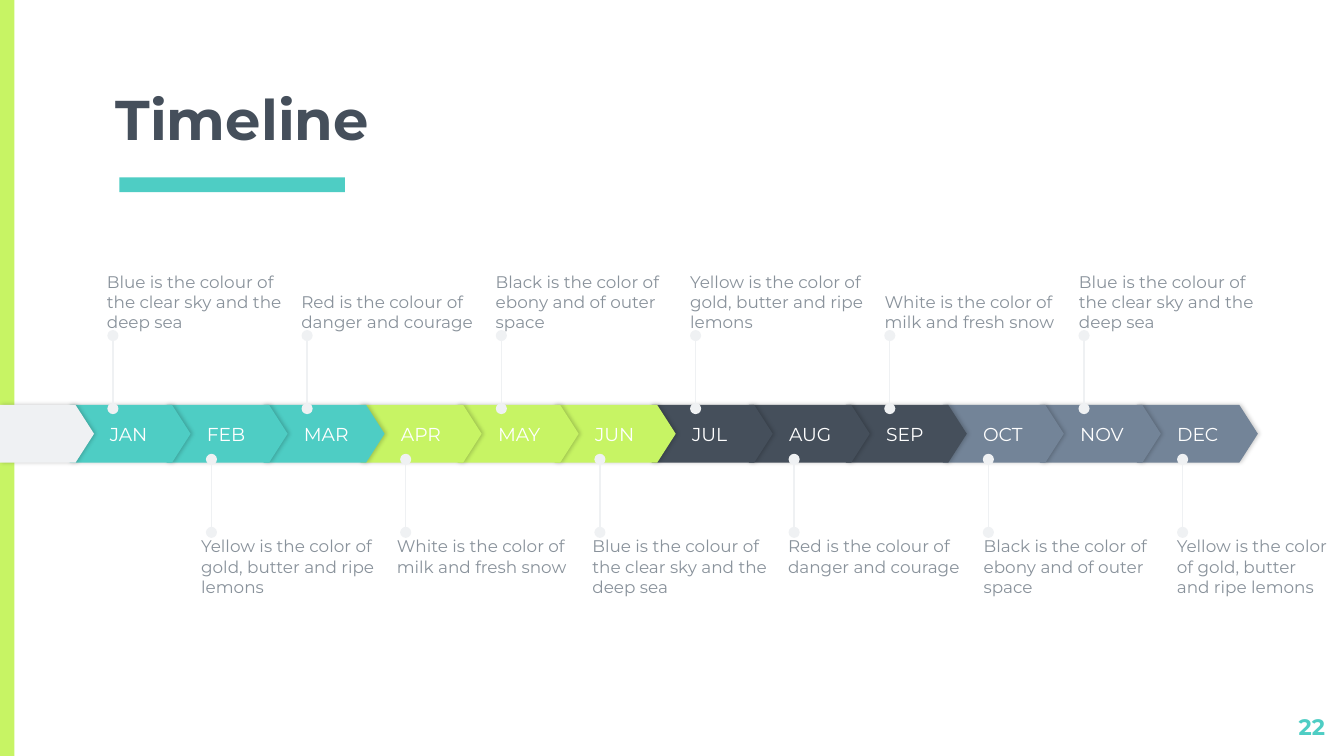
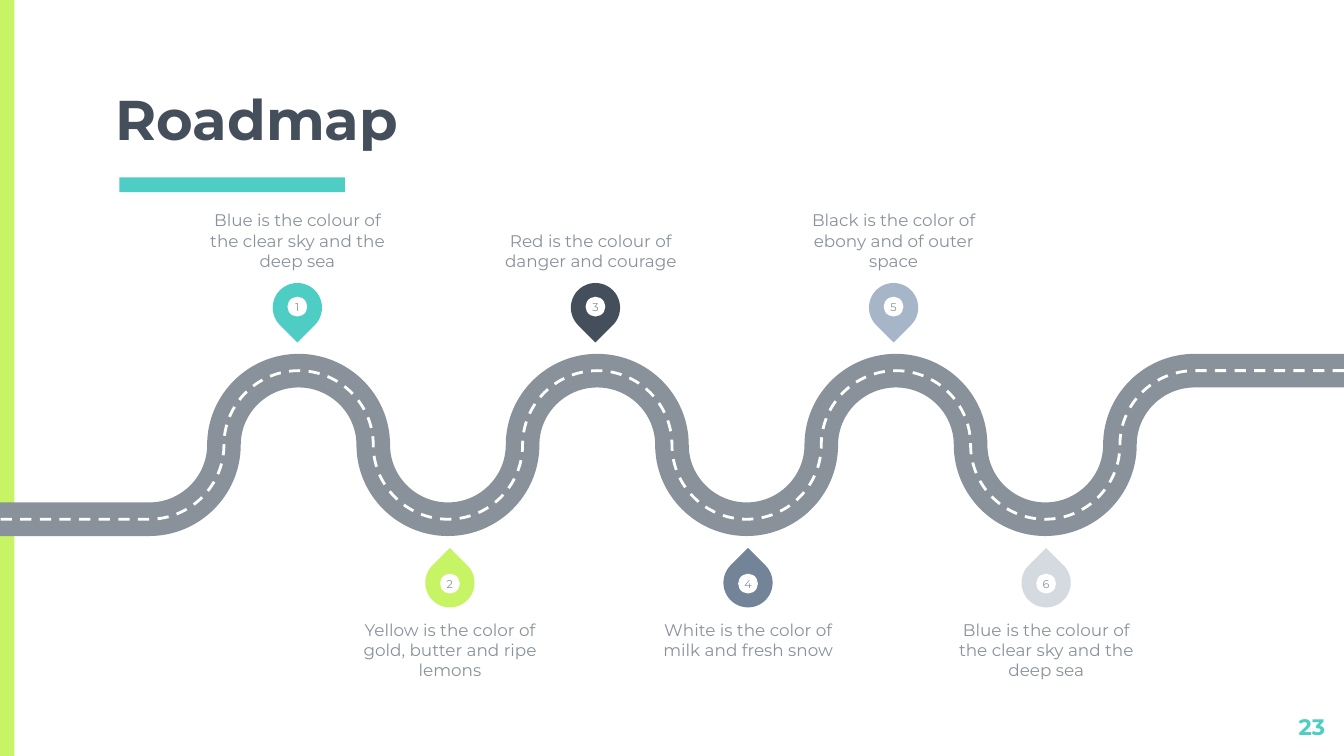
from dataclasses import dataclass

from pptx import Presentation
from pptx.dml.color import RGBColor
from pptx.enum.dml import MSO_LINE
from pptx.enum.shapes import MSO_CONNECTOR, MSO_SHAPE
from pptx.enum.text import MSO_ANCHOR, MSO_AUTO_SIZE, PP_ALIGN
from pptx.oxml.ns import qn
from pptx.util import Pt
from lxml import etree

RECT, PLATE = MSO_SHAPE.RECTANGLE, MSO_SHAPE.PENTAGON
DROP, OVAL = MSO_SHAPE.TEAR, MSO_SHAPE.OVAL
TOP, MID, LOW = MSO_ANCHOR.TOP, MSO_ANCHOR.MIDDLE, MSO_ANCHOR.BOTTOM
LEFT, MIDST, RIGHT = PP_ALIGN.LEFT, PP_ALIGN.CENTER, PP_ALIGN.RIGHT
LINE, DASH = MSO_CONNECTOR.STRAIGHT, MSO_LINE.DASH
FIXED = MSO_AUTO_SIZE.NONE


@dataclass(frozen=True)
class Theme:
    font: str = "Montserrat"
    lime: str = "C7F464"
    teal: str = "4ECDC4"
    dark: str = "454F5B"
    slate: str = "738498"
    mist: str = "A6B5C7"
    pale: str = "D4DAE0"
    frost: str = "EFF1F3"
    gray: str = "89929B"
    white: str = "FFFFFF"
    title: int = 30
    page: int = 12
    month: int = 10
    note: int = 9
    digit: int = 6


T = Theme()

BLUE = "Blue is the colour of the clear sky and the deep sea"
RED = "Red is the colour of danger and courage"
BLACK = "Black is the color of ebony and of outer space"
GOLD = "Yellow is the color of gold, butter and ripe lemons"
SNOW = "White is the color of milk and fresh snow"

BARS = [((0, 0, 7.8, 405), T.lime), ((64, 95, 120.8, 8), T.teal)]
MONTHS = ["JAN", "FEB", "MAR", "APR", "MAY", "JUN",
          "JUL", "AUG", "SEP", "OCT", "NOV", "DEC"]
TERMS = [T.teal, T.lime, T.dark, T.slate]
ABOVE = [BLUE, RED, BLACK, GOLD, SNOW, BLUE]
BELOW = [GOLD, SNOW, BLUE, RED, BLACK, GOLD]
STOPS = [
    (BLUE, T.teal, 0),
    (GOLD, T.lime, 0),
    (RED, T.dark, -2.6),
    (SNOW, T.slate, 0),
    (BLACK, T.mist, 0),
    (BLUE, T.pale, 0),
]


def write(frame, text, size, tint, align=LEFT, anchor=TOP, pad=(0, 0, 0, 0), bold=False):
    frame.word_wrap = True
    frame.auto_size = FIXED
    frame.vertical_anchor = anchor
    (frame.margin_left, frame.margin_top,
     frame.margin_right, frame.margin_bottom) = map(Pt, pad)
    para = frame.paragraphs[0]
    para.alignment = align
    run = para.add_run()
    run.text = text
    font = run.font
    font.name, font.size, font.bold = T.font, Pt(size), bold
    font.color.rgb = RGBColor.from_string(tint)


def label(slide, box, *args, **more):
    write(slide.shapes.add_textbox(*map(Pt, box)).text_frame, *args, **more)


def block(shapes, kind, box, tint):
    shape = shapes.add_shape(kind, *map(Pt, box))
    shape.shadow.inherit = False
    shape.fill.solid()
    shape.fill.fore_color.rgb = RGBColor.from_string(tint)
    shape.line.fill.background()
    return shape


def stroke(line, tint, width):
    line.color.rgb = RGBColor.from_string(tint)
    line.width = Pt(width)


def plate(slide, left, width, tint):
    shape = block(slide.shapes, PLATE, (left, 216.9, width, 31), tint)
    shape.adjustments[0] = 0.32
    glow = shape.element.spPr.find(qn("a:effectLst"))
    cast = etree.SubElement(glow, qn("a:outerShdw"), blurRad=str(Pt(2.25)),
                            dist=str(Pt(0.75)), dir="0", algn="bl", rotWithShape="0")
    ink = etree.SubElement(cast, qn("a:srgbClr"), val="000000")
    etree.SubElement(ink, qn("a:alpha"), val="20000")
    return shape


def stem(slide, x, start, end):
    link = slide.shapes.add_connector(LINE, Pt(x), Pt(start), Pt(x), Pt(end))
    stroke(link.line, T.frost, 0.75)
    edge = link.line._get_or_add_ln()
    for name in ("a:headEnd", "a:tailEnd"):
        etree.SubElement(edge, qn(name), type="oval", w="med", len="med")
    etree.SubElement(link.element.spPr, qn("a:effectLst"))


def start(deck, title, page):
    slide = deck.slides.add_slide(deck.slide_layouts[5])
    head = slide.shapes.title
    head.left, head.top, head.width, head.height = map(Pt, (54.7, 49.7, 611, 39))
    write(head.text_frame, title, T.title, T.dark, anchor=LOW, pad=(7.2,) * 4, bold=True)
    label(slide, (674, 374.8, 43, 24.5), page, T.page, T.teal,
          align=RIGHT, pad=(7.2,) * 4, bold=True)
    return slide


def brand(deck, slide):
    tree = deck.slide_layouts[5].shapes.element
    for n, (box, tint) in enumerate(BARS):
        bar = block(slide.shapes, RECT, box, tint).element
        bar.nvSpPr.cNvPr.set("id", str(20 + n))
        tree.insert(2 + n, bar)


def months(slide):
    for n, name in reversed(list(enumerate(MONTHS))):
        shape = plate(slide, 37.3 + 51.98 * n, 64.8, TERMS[n // 3])
        write(shape.text_frame, name, T.month, T.white, anchor=MID, pad=(21.6, 0, 0, 0))
    plate(slide, 0, 50.4, T.frost)
    for n, note in enumerate(ABOVE):
        stem(slide, 60.5 + 104.05 * n, 218.9, 179.8)
        label(slide, (57.3 + 104.15 * n, 136, 98.6, 42), note, T.note, T.gray, anchor=LOW)
    for n, note in enumerate(BELOW):
        stem(slide, 113.3 + 104.05 * n, 285.2, 246.1)
        wide = 81.4 if n == len(BELOW) - 1 else 98.6
        left = min(107.8 + 104.8 * n, 630.5)
        label(slide, (left, 287.2, wide, 42), note, T.note, T.gray)


def bend(lane, dots):
    legs = lane.element.findall(".//" + qn("a:lnTo"))
    base = lane.top
    for n, leg in enumerate(legs[1:-1], 1):
        (ax, ay), (bx, by) = dots[n], dots[n + 1]
        dx, dy = 0.55 * (bx - ax), 0.55 * (by - ay)
        if n % 2:
            grips = [(ax + dx, ay), (bx, by - dy)]
        else:
            grips = [(ax, ay + dy), (bx - dx, by)]
        leg.tag = qn("a:cubicBezTo")
        for spot, (x, y) in enumerate(grips):
            grip = etree.Element(qn("a:pt"), x=str(round(x)), y=str(round(y - base)))
            leg.insert(spot, grip)


def road(slide):
    mid, rise = 238.4, 39.8
    levels = [mid - rise, mid, mid + rise, mid]
    dots = [(720, mid - rise)]
    dots += [(640 - 40 * n, levels[n % 4]) for n in range(15)]
    dots.append((0, mid + rise))
    dots = [(Pt(x), Pt(y)) for x, y in dots]
    for tint, width, dash in [(T.gray, 18, None), (T.white, 1.5, DASH)]:
        pen = slide.shapes.build_freeform(*dots[0])
        pen.add_line_segments(dots[1:], close=False)
        lane = pen.convert_to_shape()
        bend(lane, dots)
        lane.shadow.inherit = False
        lane.fill.background()
        stroke(lane.line, tint, width)
        lane.line.dash_style = dash


def stops(slide):
    size, dot, wide = 26.4, 10.6, 101.5
    for n, (note, tint, shift) in enumerate(STOPS):
        high = n % 2 == 0
        x = (159.3 if high else 161.2) + 79.85 * n
        y, drop, turn = (151.6, 7.4, 135) if high else (299, 8.4, 315)
        pin = slide.shapes.add_group_shape().shapes
        tear = block(pin, DROP, (x - size / 2, y, size, size), tint)
        tear.adjustments[0] = 1
        tear.rotation = turn
        disc = block(pin, OVAL, (x - dot / 2, y + drop, dot, dot), T.white)
        write(disc.text_frame, str(n + 1), T.digit, T.gray, align=MIDST, anchor=MID)
        label(slide, (x - wide / 2 + shift, 103 if high else 332, wide, 42),
              note, T.note, T.gray, align=MIDST, anchor=LOW if high else TOP)


def main():
    deck = Presentation()
    deck.slide_width, deck.slide_height = Pt(720), Pt(405)
    slide = start(deck, "Timeline", "22")
    brand(deck, slide)
    months(slide)
    slide = start(deck, "Roadmap", "23")
    road(slide)
    stops(slide)
    deck.save("out.pptx")


if __name__ == "__main__":
    main()
